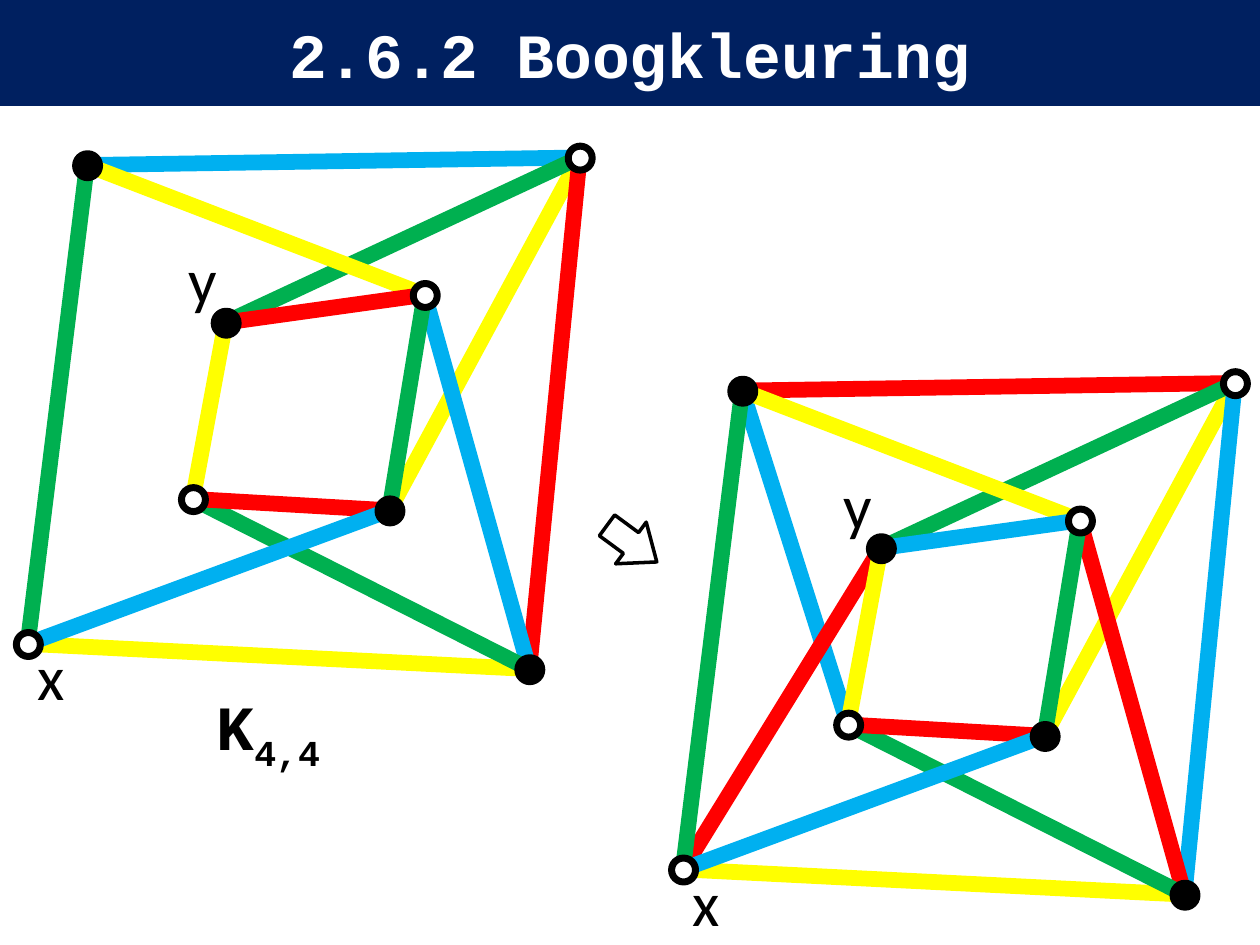
import lxml.etree
import pptx
import pptx.dml.color
import pptx.enum.shapes
import pptx.enum.text
import pptx.oxml.ns
import pptx.util

PX = 9144  # EMU per px, 100 px to the inch
RGBColor = pptx.dml.color.RGBColor
MSO_SHAPE = pptx.enum.shapes.MSO_SHAPE

NAVY = RGBColor(0x00, 0x20, 0x60)
BLUE = RGBColor(0x00, 0xB0, 0xF0)
GREEN = RGBColor(0x00, 0xB0, 0x50)
RED = RGBColor(0xFF, 0x00, 0x00)
YELLOW = RGBColor(0xFF, 0xFF, 0x00)
BLACK = RGBColor(0x00, 0x00, 0x00)
WHITE = RGBColor(0xFF, 0xFF, 0xFF)

presentation = pptx.Presentation()
presentation.slide_width = 1000 * PX
presentation.slide_height = 750 * PX
slide = presentation.slides.add_slide(presentation.slide_layouts[6])


def add_shape(kind, left, top, width, height, fill, line_width):
    """Add a filled shape; a line_width of 0 leaves out the black outline."""
    shape = slide.shapes.add_shape(kind, left * PX, top * PX, width * PX, height * PX)
    shape.shadow.inherit = False
    shape.fill.solid()
    shape.fill.fore_color.rgb = fill
    if line_width:
        shape.line.color.rgb = BLACK
        shape.line.width = pptx.util.Pt(line_width)
    else:
        shape.line.fill.background()
    return shape


def add_label(text, left, top, width, font_name, bold=False):
    """Add a one-line 36 pt label and return its paragraph."""
    box = slide.shapes.add_textbox(left * PX, top * PX, width * PX, 71 * PX)
    box.text_frame.word_wrap = False
    box.text_frame.auto_size = pptx.enum.text.MSO_AUTO_SIZE.SHAPE_TO_FIT_TEXT
    paragraph = box.text_frame.paragraphs[0]
    paragraph.add_run().text = text
    paragraph.font.name = font_name
    paragraph.font.size = pptx.util.Pt(36)
    paragraph.font.bold = bold
    paragraph.font.color.rgb = BLACK
    return paragraph


# Title bar
title = add_shape(MSO_SHAPE.RECTANGLE, 0, 0, 1000, 84, NAVY, 0)
title.text_frame.vertical_anchor = pptx.enum.text.MSO_ANCHOR.MIDDLE
paragraph = title.text_frame.paragraphs[0]
paragraph.text = "2.6.2 Boogkleuring"
paragraph.alignment = pptx.enum.text.PP_ALIGN.CENTER
paragraph.font.name = "Courier New"
paragraph.font.size = pptx.util.Pt(36)
paragraph.font.bold = True
paragraph.font.color.rgb = WHITE

# The bipartite graph: node centres and fills, in the left graph's place
NODES = {
    "outer top right": (460, 125, WHITE),
    "x": (22, 511, WHITE),
    "inner bottom left": (153, 396, WHITE),
    "inner top right": (337, 234, WHITE),
    "outer bottom right": (420, 531, BLACK),
    "inner bottom right": (309, 405, BLACK),
    "y": (179, 256, BLACK),
    "outer top left": (69, 131, BLACK),
}
# Edges from back to front: ends, colour before and colour after recolouring
EDGES = [
    ("outer top left", "inner bottom left", None, BLUE),
    ("y", "x", None, RED),
    ("outer top right", "inner bottom right", YELLOW, YELLOW),
    ("outer top right", "outer top left", BLUE, RED),
    ("outer top right", "y", GREEN, GREEN),
    ("outer top right", "outer bottom right", RED, BLUE),
    ("outer top left", "inner top right", YELLOW, YELLOW),
    ("inner top right", "outer bottom right", BLUE, RED),
    ("y", "inner top right", RED, BLUE),
    ("inner top right", "inner bottom right", GREEN, GREEN),
    ("inner bottom left", "y", YELLOW, YELLOW),
    ("outer bottom right", "x", YELLOW, YELLOW),
    ("outer top left", "x", GREEN, GREEN),
    ("inner bottom left", "outer bottom right", GREEN, GREEN),
    ("inner bottom left", "inner bottom right", RED, RED),
    ("x", "inner bottom right", BLUE, BLUE),
]
NODE_SIZE = 19

for graph, (shift_x, shift_y) in enumerate([(0, 0), (520, 179)]):
    for start, end, *colours in EDGES:
        if colours[graph] is None:
            continue
        x1, y1, _ = NODES[start]
        x2, y2, _ = NODES[end]
        edge = slide.shapes.add_connector(
            pptx.enum.shapes.MSO_CONNECTOR.STRAIGHT,
            (x1 + shift_x) * PX, (y1 + shift_y) * PX,
            (x2 + shift_x) * PX, (y2 + shift_y) * PX)
        edge.line.color.rgb = colours[graph]
        edge.line.width = pptx.util.Pt(9)
        lxml.etree.SubElement(edge._element.spPr, pptx.oxml.ns.qn("a:effectLst"))
    for x, y, fill in NODES.values():
        add_shape(MSO_SHAPE.OVAL, x + shift_x - NODE_SIZE // 2, y + shift_y - NODE_SIZE // 2,
                  NODE_SIZE, NODE_SIZE, fill, 4)
    add_label("x", 20 + shift_x, 501 + shift_y, 42, "Calibri")
    add_label("y", 140 + shift_x, 186 + shift_y, 43, "Calibri")

# Arrow from the first colouring to the second
arrow = add_shape(MSO_SHAPE.RIGHT_ARROW, 477, 411, 49, 41, WHITE, 2)
arrow.adjustments[0] = 0.5
arrow.adjustments[1] = 0.62
arrow.rotation = 36.3

# Name of the graph
name = add_label("K", 162, 541, 111, "Courier New", bold=True)
subscript = name.add_run()
subscript.text = "4,4"
subscript.font._element.set("baseline", "-25000")

presentation.save("out.pptx")
